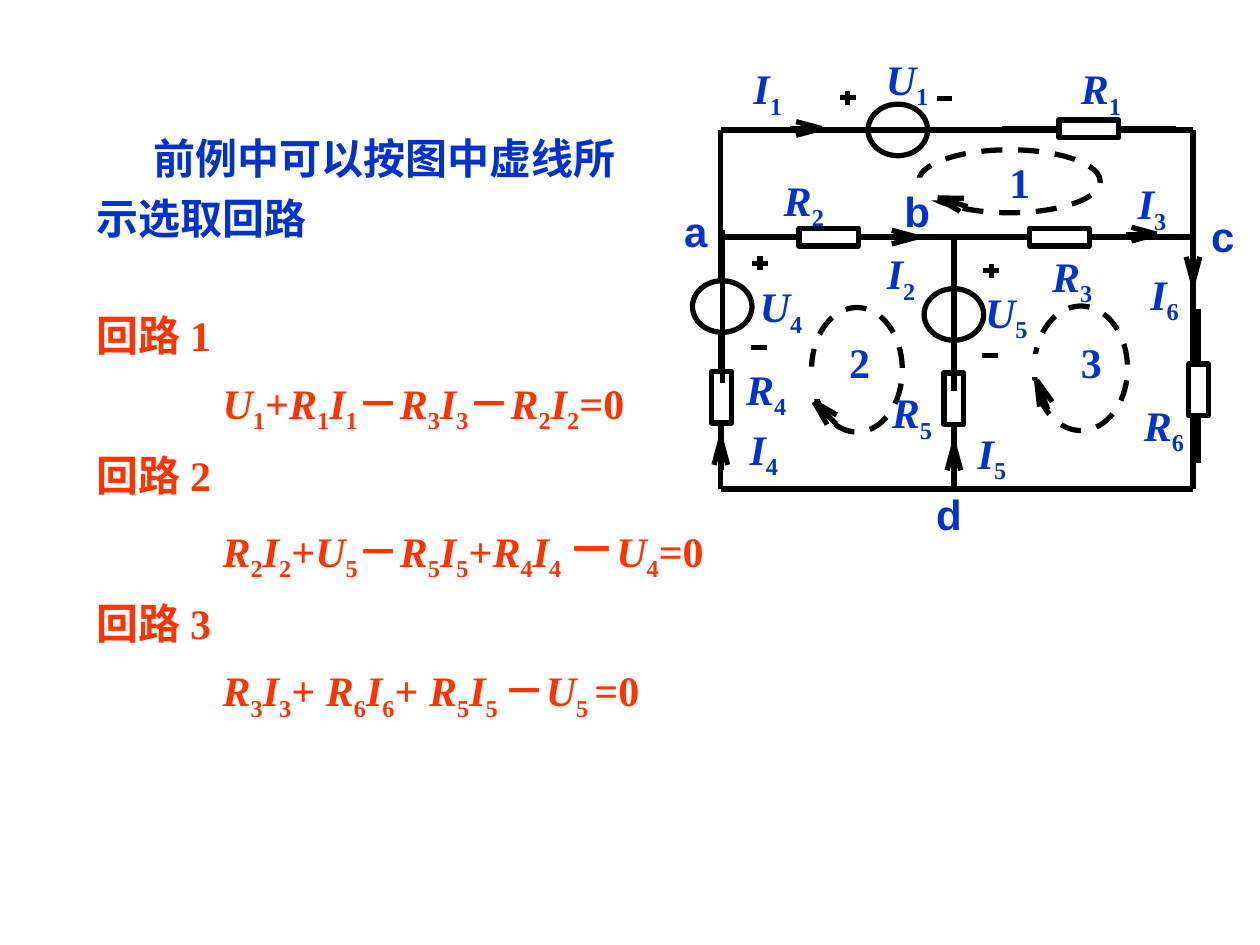
from itertools import groupby
from math import cos, radians, sin

from pptx import Presentation
from pptx import util as u
from pptx.dml.color import RGBColor
from pptx.enum import dml, shapes, text
from pptx.oxml.ns import qn
from lxml import etree

COLORS = {"blue": "0033CC", "red": "FF3300", "ink": "000000", "paper": "FFFFFF"}
LEFT, MIDDLE, RIGHT = 14.53, 19.23, 24.05
TOP, CENTER, BOTTOM = 2.62, 4.78, 9.86

WIRES = [(LEFT, TOP, RIGHT, TOP), (LEFT, CENTER, RIGHT, CENTER),
         (LEFT, BOTTOM, RIGHT, BOTTOM), (LEFT, TOP, LEFT, BOTTOM),
         (MIDDLE, CENTER, MIDDLE, BOTTOM), (RIGHT, TOP, RIGHT, BOTTOM)]

# Centre x, centre y, lies along a horizontal wire
RESISTORS = [(21.36, CENTER, True), (16.71, CENTER, True), (21.95, 2.6, True),
             (24.16, 7.86, False), (19.23, 8.04, False), (14.55, 8.01, False)]

# Centre, horizontal, plus sign, minus sign
SOURCES = [(18.1, TOP, True, (17.09, 1.97), (19.04, 1.98)),
           (MIDDLE, 6.34, False, (19.98, 5.46), (19.95, 7.16)),
           (14.56, 6.18, False, (15.32, 5.31), (15.3, 7.01))]

# Tip x, tip y, angle from the tip back along the shaft
ARROWS = [(RIGHT, 5.69, 270), (LEFT, 8.86, 90), (MIDDLE, 8.97, 90),
          (16.56, 2.59, 180), (18.49, CENTER, 180), (23.32, 4.72, 180),
          (18.9, 3.99, 16), (20.9, 7.67, 69), (16.41, 8.1, 45)]

LOOPS = [(18.52, 3.02, 3.66, 1.27), (16.36, 6.2, 1.83, 2.51),
         (20.85, 6.17, 1.88, 2.51)]
LOOP_GAPS = [(20.65, 7.14, 0.69, 0.46), (16.05, 7.39, 0.64, 0.66),
             (17.93, 3.58, 0.97, 0.46)]

LABELS = {
    "U1": (17.86, 1.07, 1.24, 0.86), "U5": (19.86, 5.77, 1.68, 1.5),
    "U4": (15.32, 5.66, 1.37, 1.3), "R1": (21.79, 1.27, 1.5, 1.5),
    "R2": (15.8, 3.51, 1.52, 1.5), "R3": (21.21, 5.05, 1.24, 1.5),
    "R4": (15.04, 7.32, 1.02, 1.35), "R5": (17.98, 7.8, 1.52, 1.35),
    "R6": (23.06, 8.05, 1.07, 1.35), "I1": (15.19, 1.27, 1.02, 0.71),
    "I2": (17.88, 5, 1.35, 1.35), "I3": (22.94, 3.58, 1.4, 1.35),
    "I5": (19.71, 8.61, 1.57, 1.35), "I4": (15.11, 8.53, 1.57, 1.35),
    "I6": (23.19, 5.41, 1.14, 0.81), "1": (20.35, 3.15, 1.19, 1.5),
    "2": (17.12, 6.78, 1.02, 1.22), "3": (21.79, 6.78, 1.19, 1.5),
}
NODES = {"a": (13.54, 4.01, 1.7, 1.27), "d": (18.62, 9.73, 1.27, 1.27),
         "b": (17.98, 3.61, 1.27, 1.27), "c": (23.9, 4.11, 1.5, 1.27)}

EQUATIONS = [("回路 1", "U1+R1I1－R3I3－R2I2=0"),
             ("回路 2", "R2I2+U5－R5I5+R4I4 －U4=0"),
             ("回路 3", "R3I3+ R6I6+ R5I5 －U5 =0")]


def styled_pieces(formula):
    """Split a formula into (style, text): symbols italic, their indices sub."""
    styled, style = [], "plain"
    for char in formula:
        if char in "UIR":
            style = "italic"
        elif char.isdigit() and style == "italic":
            style = "sub"
        elif not (char == " " and style == "sub"):
            style = "plain"
        styled.append((style, char))
    for style, group in groupby(styled, key=lambda pair: pair[0]):
        yield style, "".join(char for _, char in group)


class Circuit:
    """Drawing style and the slide being drawn on; lengths are in cm."""

    def __init__(self, slide):
        self.shapes = slide.shapes
        self.stroke = u.Pt(3)
        self.size = u.Pt(24)

    @staticmethod
    def color(name):
        return RGBColor.from_string(COLORS[name])

    def line(self, x1, y1, x2, y2):
        wire = self.shapes.add_connector(
            shapes.MSO_CONNECTOR.STRAIGHT, *map(u.Cm, (x1, y1, x2, y2)))
        wire.line.color.rgb = self.color("ink")
        wire.line.width = self.stroke
        etree.SubElement(wire._element.spPr, qn("a:effectLst"))

    def shape(self, kind, box, filled=True, outlined=True):
        outline = self.shapes.add_shape(kind, *map(u.Cm, box))
        outline.shadow.inherit = False
        if filled:
            outline.fill.solid()
            outline.fill.fore_color.rgb = self.color("paper")
        else:
            outline.fill.background()
        if outlined:
            outline.line.color.rgb = self.color("ink")
            outline.line.width = self.stroke
        else:
            outline.line.fill.background()
        return outline

    def lead(self, x, y, horizontal):
        dx, dy = (1.76, 0) if horizontal else (0, 1.55)
        self.line(x - dx, y - dy, x + dx, y + dy)

    def resistor(self, x, y, horizontal):
        self.lead(x, y if horizontal else y - 0.08, horizontal)
        w, h = (1.2, 0.36) if horizontal else (0.4, 1.04)
        self.shape(shapes.MSO_SHAPE.RECTANGLE, (x - w / 2, y - h / 2, w, h))

    def source(self, x, y, horizontal, plus, minus):
        self.shape(shapes.MSO_SHAPE.OVAL, (x - 0.6, y - 0.52, 1.2, 1.04))
        self.lead(x, y, horizontal)
        for sign_x, sign_y in (plus, minus):
            self.line(sign_x - 0.16, sign_y, sign_x + 0.16, sign_y)
        self.line(plus[0], plus[1] - 0.14, plus[0], plus[1] + 0.14)

    def arrow(self, x, y, angle):
        for turn, length in ((-15, 0.53), (15, 0.53), (0, 0.63)):
            tail = radians(angle + turn)
            self.line(x, y, x + length * cos(tail), y + length * sin(tail))

    def loop(self, box):
        dashes = self.shape(shapes.MSO_SHAPE.OVAL, box, filled=False)
        dashes.line.dash_style = dml.MSO_LINE.DASH

    def text_frame(self, box, padded=True):
        frame = self.shapes.add_textbox(*map(u.Cm, box)).text_frame
        frame.word_wrap = True
        if not padded:
            frame.margin_left = frame.margin_right = 0
            frame.margin_top = frame.margin_bottom = 0
        return frame

    def typeset(self, paragraph, formula, color, font="Times New Roman"):
        paragraph.font.name = font
        paragraph.font.size = self.size
        paragraph.font.bold = True
        paragraph.font.color.rgb = self.color(color)
        for style, piece in styled_pieces(formula):
            run = paragraph.add_run()
            run.text = piece
            if style == "italic":
                run.font.italic = True
            elif style == "sub":
                run._r.get_or_add_rPr().set("baseline", "-25000")

    def intro(self, words, box):
        paragraph = self.text_frame(box).paragraphs[0]
        paragraph.line_spacing = 1.2
        paragraph._p.get_or_add_pPr().set("indent", str(u.Cm(1.14)))
        self.typeset(paragraph, words, "blue")

    def equations(self, pairs, box):
        frame = self.text_frame(box)
        for heading, formula in pairs:
            for words, margin in ((heading, 0), (formula, 2.54)):
                first = not frame.paragraphs[0].runs
                paragraph = frame.paragraphs[0] if first else frame.add_paragraph()
                paragraph.line_spacing = 1.2
                if not first:
                    paragraph.space_before = u.Pt(3)
                paragraph._p.get_or_add_pPr().set("marL", str(u.Cm(margin)))
                self.typeset(paragraph, words, "red")
        wide_minus = frame.paragraphs[3].runs[-4]
        wide_minus.font.size = u.Pt(28)


def main():
    prs = Presentation()
    prs.slide_width, prs.slide_height = u.Cm(25.4), u.Cm(19.05)
    circuit = Circuit(prs.slides.add_slide(prs.slide_layouts[6]))
    circuit.intro("前例中可以按图中虚线所示选取回路", (1.7, 2.34, 11, 2.69))
    circuit.equations(EQUATIONS, (1.7, 5.92, 13.77, 8.79))
    for wire in WIRES:
        circuit.line(*wire)
    for resistor in RESISTORS:
        circuit.resistor(*resistor)
    for source in SOURCES:
        circuit.source(*source)
    for loop in LOOPS:
        circuit.loop(loop)
    for arrow in ARROWS:
        circuit.arrow(*arrow)
    for gap in LOOP_GAPS:
        circuit.shape(shapes.MSO_SHAPE.RECTANGLE, gap, outlined=False)
    for symbol, box in LABELS.items():
        frame = circuit.text_frame(box, padded=False)
        circuit.typeset(frame.paragraphs[0], symbol, "blue")
    for node, box in NODES.items():
        paragraph = circuit.text_frame(box).paragraphs[0]
        if node == "c":
            paragraph.alignment = text.PP_ALIGN.CENTER
        circuit.typeset(paragraph, node, "blue", "Arial")
    prs.save("out.pptx")


if __name__ == "__main__":
    main()
